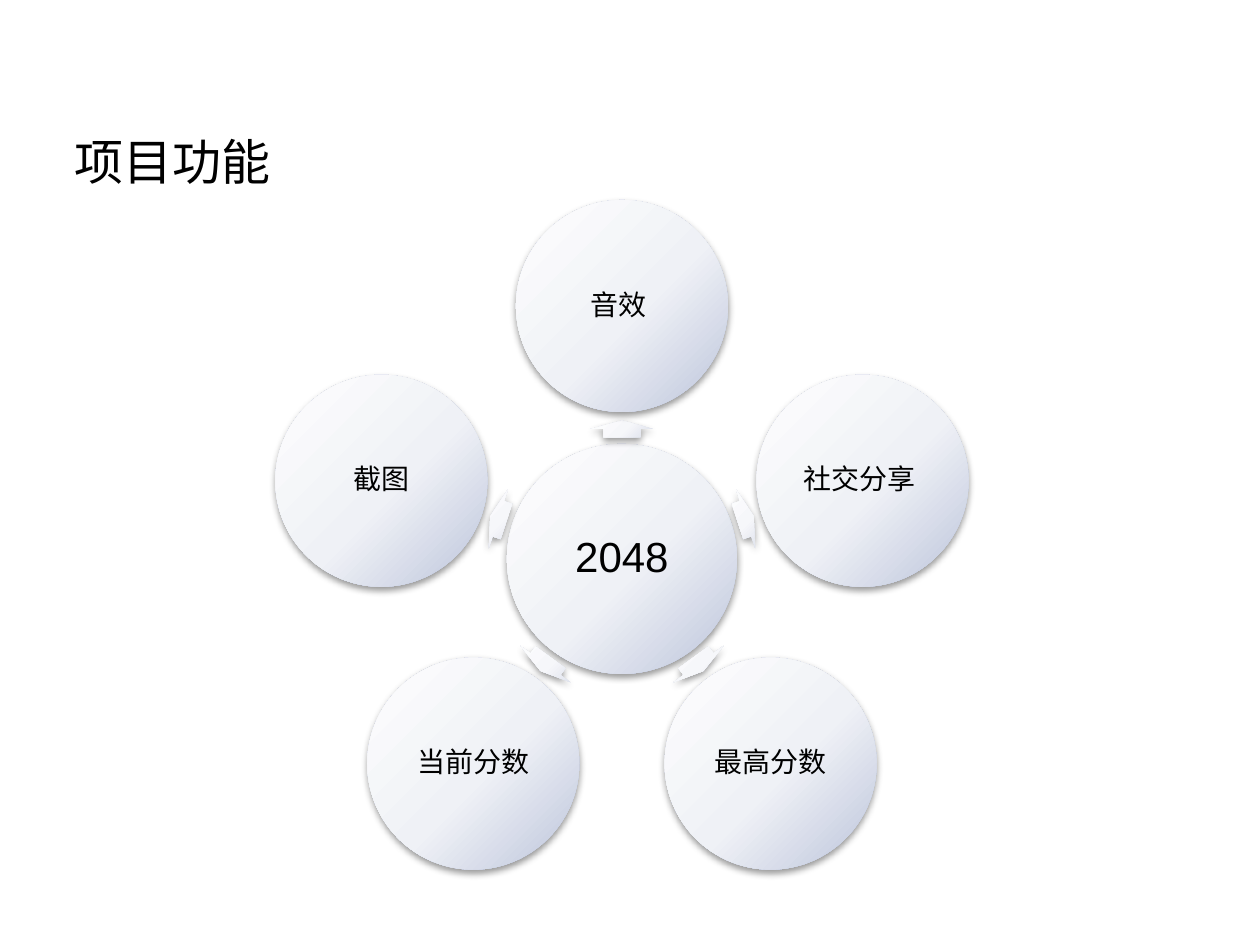
import math
import pptx
import pptx.util
import pptx.oxml
import pptx.oxml.ns
import pptx.dml.color
import pptx.enum.shapes
import pptx.enum.text

PX = 914400 // 126
KIND = pptx.enum.shapes.MSO_SHAPE
ALIGN = pptx.enum.text.PP_ALIGN
ANCHOR = pptx.enum.text.MSO_ANCHOR
THEME = {
    "font": "Arial",
    "ink": pptx.dml.color.RGBColor.from_string("000000"),
    "title": pptx.util.Pt(28),
    "hub": pptx.util.Pt(24),
    "node": pptx.util.Pt(16),
    "disc": ["FEFEFE", "EFF1F6", "BCC4DB"],
    "arrow": ["FEFEFF", "F6F7FA", "DADEEA"],
}
NS = pptx.oxml.ns.nsdecls("a")


def write(shape, text, size, pad, align, anchor, space):
    frame = shape.text_frame
    frame.text = text
    para = frame.paragraphs[0]
    font = para.runs[0].font
    font.color.rgb = THEME["ink"]
    inset = {"margin_" + side: pad * PX for side in ("left", "top", "right", "bottom")}
    style = [
        (frame, {"word_wrap": True, "vertical_anchor": anchor, **inset}),
        (para, {"alignment": align, "line_spacing": space}),
        (font, {"name": THEME["font"], "size": THEME[size]}),
    ]
    for part, values in style:
        for key, value in values.items():
            setattr(part, key, value)


def draw(kind, x, y, wide, high, tones):
    shape = slide.shapes.add_shape(
        kind, round((x - wide / 2) * PX), round((y - high / 2) * PX), wide * PX, high * PX)
    stops = "".join(
        f'<a:gs pos="{pos}000"><a:srgbClr val="{tone}"/></a:gs>'
        for pos, tone in zip((0, 55, 100), THEME[tones]))
    props = shape.element.spPr
    props.append(pptx.oxml.parse_xml(
        f'<a:gradFill {NS} rotWithShape="1"><a:gsLst>{stops}</a:gsLst><a:path path="circle">'
        '<a:fillToRect l="-40000" t="-90000" r="140000" b="190000"/></a:path></a:gradFill>'))
    shape.line.fill.background()
    props.append(pptx.oxml.parse_xml(
        f'<a:effectLst {NS}><a:outerShdw blurRad="52000" dist="25400" dir="5400000" '
        'rotWithShape="0"><a:srgbClr val="000000"><a:alpha val="40000"/></a:srgbClr>'
        '</a:outerShdw></a:effectLst>'))
    return shape


deck = pptx.Presentation()
deck.slide_width, deck.slide_height = 1260 * PX, 945 * PX
slide = deck.slides.add_slide(deck.slide_layouts[6])

title = slide.shapes.add_textbox(63 * PX, 126 * PX, 1134 * PX, 126 * PX)
write(title, "项目功能", "title", 12, ALIGN.LEFT, ANCHOR.TOP, 1.0)
title.text_frame.margin_top = 6 * PX

MID_X, MID_Y = 622, 559
hub = draw(KIND.OVAL, MID_X, MID_Y, 230, 230, "disc")
write(hub, "2048", "hub", 4, ALIGN.CENTER, ANCHOR.MIDDLE, 0.9)

nodes = ["音效 ", "社交分享 ", "最高分数", "当前分数", "截图"]
for i, name in enumerate(nodes):
    turn = (270 + i * 360 / len(nodes)) % 360
    cos, sin = math.cos(math.radians(turn)), math.sin(math.radians(turn))
    arrow = draw(KIND.RIGHT_ARROW, MID_X + 130 * cos, MID_Y + 130 * sin, 17, 62, "arrow")
    arrow.rotation = turn
    arrow.adjustments[0], arrow.adjustments[1] = 0.6, 0.5
    disc = draw(KIND.OVAL, MID_X + 253 * cos, MID_Y + 253 * sin, 212, 212, "disc")
    write(disc, name, "node", 2, ALIGN.CENTER, ANCHOR.MIDDLE, 0.9)

deck.save("out.pptx")
